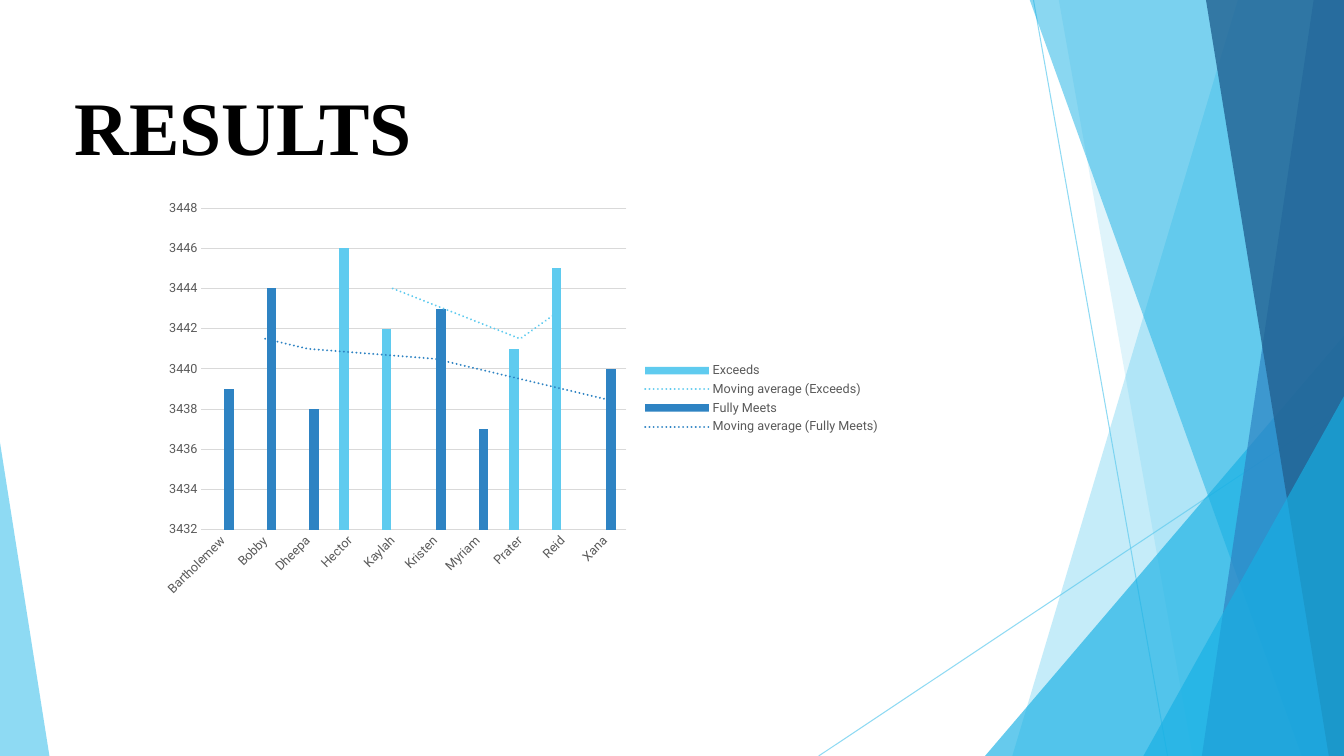
"""Builds the RESULTS slide: a column chart with moving averages beside angled blue panels."""
from lxml import etree
from pptx import Presentation
from pptx.chart.data import CategoryChartData
from pptx.dml.color import RGBColor
from pptx.enum.chart import XL_CHART_TYPE, XL_LEGEND_POSITION, XL_TICK_MARK
from pptx.enum.shapes import MSO_CONNECTOR, MSO_SHAPE
from pptx.enum.text import MSO_ANCHOR
from pptx.oxml import parse_xml
from pptx.oxml.ns import nsdecls, qn
from pptx.util import Inches, Pt

W, H, TOP = 13.33, 7.5, -0.01
SKY, CYAN, BLUE, NAVY = "5FCBEF", "17B0E4", "2E83C3", "226292"
GRAY, GRID = "595959", "D9D9D9"

TITLE = "RESULTS"
STUDENTS = ["Bartholemew", "Bobby", "Dheepa", "Hector", "Kaylah",
            "Kristen", "Myriam", "Prater", "Reid", "Xana"]
SCORES = [
    ("Exceeds", SKY, {"Hector": 3446, "Kaylah": 3442, "Prater": 3441, "Reid": 3445}),
    ("Fully Meets", BLUE, {"Bartholemew": 3439, "Bobby": 3444, "Dheepa": 3438,
                           "Kristen": 3443, "Myriam": 3437, "Xana": 3440}),
]
RAYS = [(10.25, 0, 11.58, H), (W, 4.03, 8.12, H)]
PANELS = [
    ("band", (12.28, 10.04), SKY, 36),
    ("band", (10.5, 11.83), SKY, 20),
    ("triangle", (9.77, 3.33, 3.56, 1), CYAN, 66),
    ("band", (10.21, 12.91), CYAN, 50),
    ("band", (13.03, 11.92), BLUE, 70),
    ("band", (11.96, 13.18), NAVY, 80),
    ("triangle", (11.34, 3.93, 1.99, 1), CYAN, 66),
    ("triangle", (0, 4.39, 0.49, 0), SKY, 70),
]


def paint(fmt, color, alpha=100):
    fmt.solid()
    fmt.fore_color.rgb = RGBColor.from_string(color)
    if alpha < 100:
        clr = next(fmt.fore_color._xFill.iter(qn("a:srgbClr")))
        etree.SubElement(clr, qn("a:alpha")).set("val", str(alpha * 1000))


def set_font(font, name, size, color):
    font.name, font.size = name, Pt(size)
    paint(font.fill, color)


def add_ray(s, x1, y1, x2, y2):
    ray = s.shapes.add_connector(MSO_CONNECTOR.STRAIGHT, *map(Inches, (x1, y1, x2, y2)))
    ray.line.width = Pt(0.75)
    paint(ray.line.fill, SKY, 70)
    etree.SubElement(ray._element.spPr, qn("a:effectLst"))


def add_panel(s, kind, geometry, color, alpha):
    if kind == "band":
        x_top, x_bottom = geometry
        fb = s.shapes.build_freeform(Inches(x_top), Inches(TOP))
        corners = [(W, TOP), (W, H), (x_bottom, H)]
        fb.add_line_segments([(Inches(x), Inches(y)) for x, y in corners])
        sp = fb.convert_to_shape()
    else:
        x, y, width, apex = geometry
        sp = s.shapes.add_shape(MSO_SHAPE.ISOSCELES_TRIANGLE,
                                *map(Inches, (x, y, width, H - y)))
        sp.adjustments[0] = apex
    sp.shadow.inherit = False
    sp.line.fill.background()
    paint(sp.fill, color, alpha)


def add_title(s):
    tf = s.shapes.add_textbox(*map(Inches, (0.64, 0.65, 7.59, 1.01))).text_frame
    tf.word_wrap = True
    tf.vertical_anchor = MSO_ANCHOR.TOP
    tf.margin_top, tf.margin_bottom = Inches(0.14), 0
    tf.text = TITLE
    r = tf.paragraphs[0].runs[0]
    r.font.bold = True
    set_font(r.font, "Times New Roman", 54, "000000")


def add_moving_average(series, color):
    trend = parse_xml(
        f'<c:trendline {nsdecls("c", "a")}><c:spPr><a:ln w="{Pt(1.5)}" cap="rnd"><a:solidFill>'
        f'<a:srgbClr val="{color}"/></a:solidFill><a:prstDash val="sysDot"/></a:ln></c:spPr>'
        '<c:trendlineType val="movingAvg"/><c:period val="2"/>'
        '<c:dispRSqr val="0"/><c:dispEq val="0"/></c:trendline>')
    series._element.find(qn("c:cat")).addprevious(trend)


def add_results_chart(s):
    data = CategoryChartData()
    data.categories = STUDENTS
    for name, _, scores in SCORES:
        data.add_series(name, [scores.get(student) for student in STUDENTS])
    chart = s.shapes.add_chart(XL_CHART_TYPE.COLUMN_CLUSTERED,
                               *map(Inches, (1.49, 1.91, 7.34, 4.09)), data).chart
    set_font(chart.font, "Roboto", 10, "000000")
    chart.has_title = False
    chart.has_legend = True
    chart.legend.position = XL_LEGEND_POSITION.RIGHT
    chart.legend.include_in_layout = False
    set_font(chart.legend.font, "Roboto", 9, GRAY)

    plot = chart.plots[0]
    plot.gap_width, plot.overlap, plot.vary_by_categories = 219, -27, False
    for series, (_, color, _) in zip(plot.series, SCORES):
        series.invert_if_negative = False
        paint(series.format.fill, color)
        add_moving_average(series, color)

    cat, val = chart.category_axis, chart.value_axis
    for axis in (cat, val):
        axis.major_tick_mark = axis.minor_tick_mark = XL_TICK_MARK.NONE
        set_font(axis.tick_labels.font, "Roboto", 9, GRAY)
    val.minimum_scale, val.maximum_scale, val.major_unit = 3432, 3448, 2
    val.has_major_gridlines = True
    val.format.line.fill.background()
    for line in (cat.format.line, val.major_gridlines.format.line):
        line.width = Pt(0.75)
        paint(line.fill, GRID)


def main():
    prs = Presentation()
    prs.slide_width, prs.slide_height = Inches(W), Inches(H)
    s = prs.slides.add_slide(prs.slide_layouts[6])
    for ray in RAYS:
        add_ray(s, *ray)
    for panel in PANELS:
        add_panel(s, *panel)
    add_title(s)
    add_results_chart(s)
    prs.save("out.pptx")


if __name__ == "__main__":
    main()
